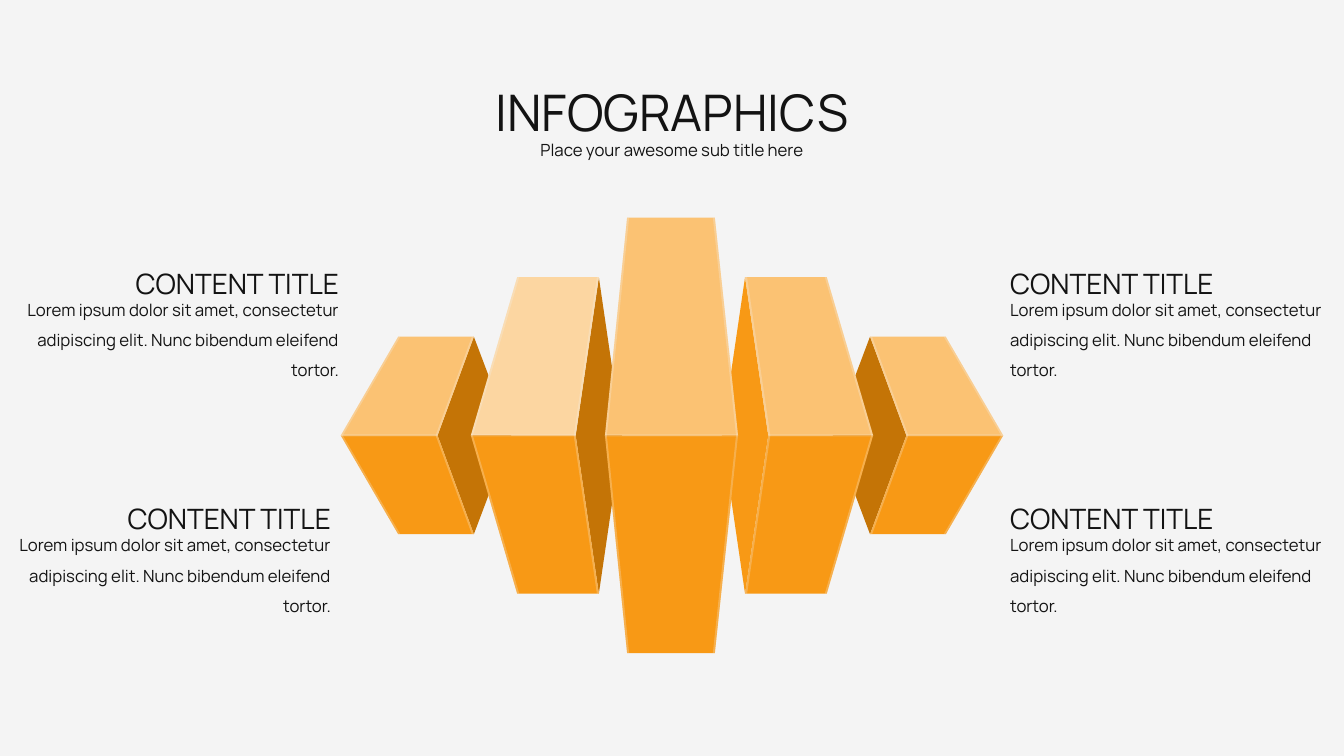
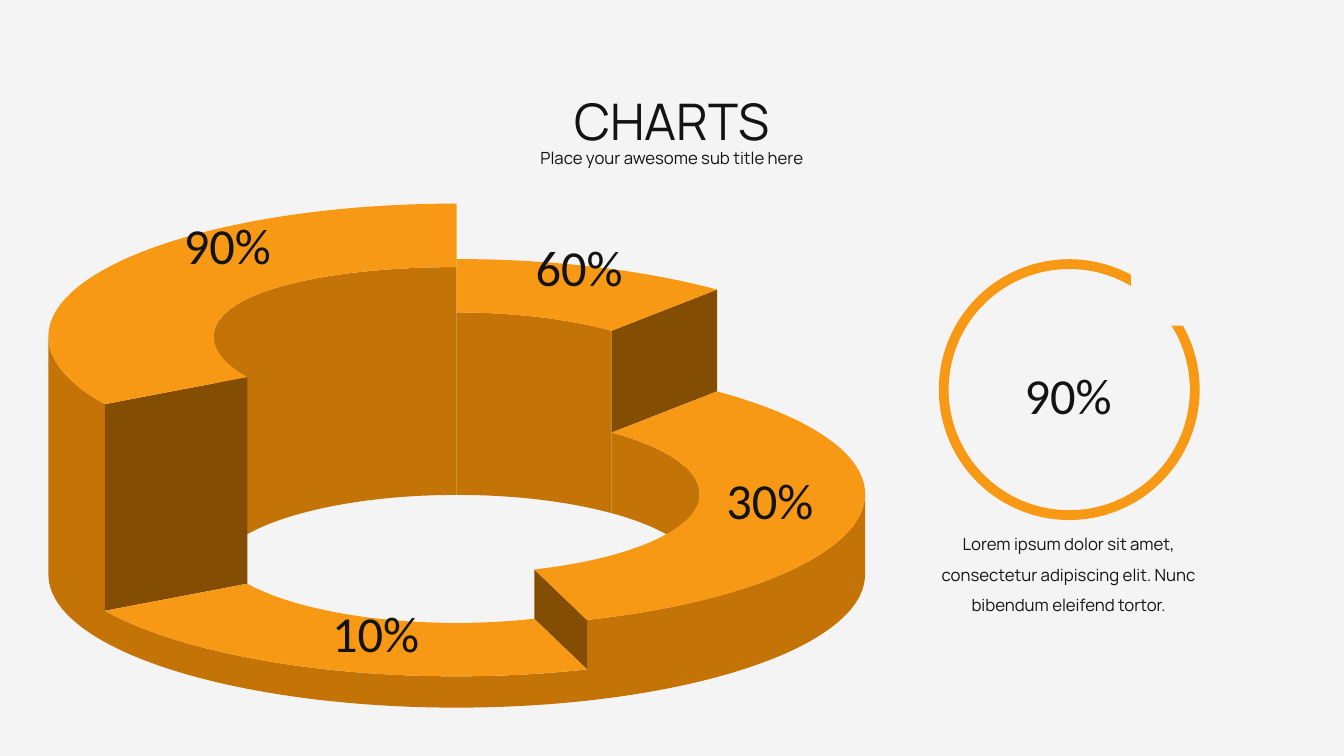
from dataclasses import dataclass
from itertools import chain, pairwise
from math import cos, radians, sin, tan

from lxml import etree
from pptx import Presentation
from pptx.dml.color import RGBColor
from pptx.enum.shapes import MSO_SHAPE as Shape
from pptx.enum.text import MSO_AUTO_SIZE as AutoSize, PP_ALIGN as Align
from pptx.oxml.ns import qn
from pptx.util import Emu, Inches, Pt

# Grid of square cells, one inch each
COLUMNS, ROWS = 13.33, 7.5
CELL = Inches(1)

# Shared look
PAPER, INK = "F4F4F4", "131313"
ORANGE, LIGHT, PALE = "F89915", "FBC273", "FCD6A1"
BROWN, DARK = "C47406", "834E04"
TEXT_FONT, NUMBER_FONT = "Manrope", "Calibri"
LOREM = ("Lorem ipsum dolor sit amet, consectetur adipiscing elit. "
         "Nunc bibendum eleifend tortor.")

Point = tuple[float, float]
# One point is a straight step; three points are a Bezier curve
Step = tuple[Point, ...]


@dataclass(frozen=True)
class Block:
    """A 3D block: x of its outer edge, top corners, inner edge and side tip."""
    outer: float
    outer_top: float
    inner_top: float
    inner: float
    tip: float | None
    half_height: float
    top_colour: str = LIGHT
    side_colour: str = BROWN
    mirrored: bool = False

    def place(self, points: list[Point]) -> list[Point]:
        return [(COLUMNS - x, y) for x, y in points] if self.mirrored else points


@dataclass(frozen=True)
class Callout:
    left: float
    title_top: float
    body_top: float
    title_align: Align
    body_align: Align


@dataclass(frozen=True)
class Rim:
    """An ellipse whose far half may be flatter than its near half."""
    radius: float
    depth: float
    far_depth: float

    def point(self, level: float, angle: float, slide: float = 0) -> Point:
        """The point at an angle, moved along the tangent by a share of the radius."""
        turn = radians(angle)
        depth = self.far_depth if sin(turn) < 0 else self.depth
        return (RING_X + self.radius * (cos(turn) - slide * sin(turn)),
                level + depth * (sin(turn) + slide * cos(turn)))

    def arc(self, level: float, start: float, end: float) -> list[Step]:
        low, high = sorted((start, end))
        stops = [low, *(q for q in range(0, 541, 90) if low < q < high), high]
        if start > end:
            stops.reverse()
        steps: list[Step] = [(self.point(level, start),)]
        for a, b in pairwise(stops):
            pull = 4 / 3 * tan(radians(b - a) / 4)
            steps.append((self.point(level, a, pull), self.point(level, b, -pull),
                          self.point(level, b)))
        return steps


@dataclass(frozen=True)
class Segment:
    """A ring part: clockwise angles from the right, and the level of its top."""
    label: str
    label_left: float
    label_top: float
    start: float
    end: float
    level: float
    inner: Rim


MIDDLE = 4.32
SMALL = (3.38, 3.95, 4.7, 4.34, 5.07, 0.98)
MEDIUM = (4.67, 5.13, 5.94, 5.71, 6.17, 1.57)
BLOCKS = [
    Block(*SMALL),
    Block(*MEDIUM, top_colour=PALE),
    Block(*SMALL, mirrored=True),
    Block(*MEDIUM, side_colour=ORANGE, mirrored=True),
    Block(6, 6.22, 7.09, 7.32, None, 2.16),
]
CALLOUTS = [
    Callout(9.92, 4.76, 5.16, Align.JUSTIFY, Align.LEFT),
    Callout(9.92, 2.43, 2.82, Align.JUSTIFY, Align.LEFT),
    Callout(0.05, 2.43, 2.82, Align.RIGHT, Align.RIGHT),
    Callout(-0.03, 4.76, 5.16, Align.RIGHT, Align.RIGHT),
]

RING_X, BASE = 4.53, 5.7
OUTER, INNER = Rim(4.05, 1.32, 1.32), Rim(2.41, 0.79, 0.79)
CUT_RIGHT, CUT_FRONT, CUT_LEFT = 309.6, 71.4, 149.5
SEGMENTS = [
    Segment("30%", 6.39, 4.3, CUT_RIGHT, 360 + CUT_FRONT, 4.9, INNER),
    Segment("60%", 4.5, 1.99, 270, CUT_RIGHT, 3.89, INNER),
    Segment("10%", 2.48, 5.62, CUT_FRONT, CUT_LEFT, 5.39, INNER),
    Segment("90%", 1.01, 1.77, CUT_LEFT, 270, 3.34, Rim(2.41, 0.79, 0.69)),
]
# Angle, upper level and lower level of each cut face
CUTS = [(CUT_RIGHT, 3.89, 4.9), (CUT_FRONT, 4.9, 5.39), (CUT_LEFT, 3.34, 5.39)]


def colour(hex_code: str) -> RGBColor:
    return RGBColor.from_string(hex_code)


def cells(count: float) -> Emu:
    return Emu(round(count * CELL))


def paint(shape, fill: str, line: str | None = None, weight: float = 0,
          alpha: int = 100) -> None:
    shape.shadow.inherit = False
    shape.fill.solid()
    shape.fill.fore_color.rgb = colour(fill)
    if alpha < 100:
        tint = shape.fill._xPr.find(qn("a:solidFill"))[0]
        etree.SubElement(tint, qn("a:alpha")).set("val", str(alpha * 1000))
    if line:
        shape.line.color.rgb = colour(line)
        shape.line.width = Pt(weight)
    else:
        shape.line.fill.background()


def add_outline(page, steps: list[Step], fill: str, alpha: int = 100) -> None:
    first, *rest = [(cells(x), cells(y)) for x, y in chain.from_iterable(steps)]
    builder = page.shapes.build_freeform(*first)
    builder.add_line_segments(rest, close=True)
    shape = builder.convert_to_shape()
    # Join the three lines of each curved step into one curve
    lines = iter(list(shape._element.iter(qn("a:lnTo"))))
    for step in steps[1:]:
        curve, *others = [next(lines) for _ in step]
        if others:
            curve.tag = qn("a:cubicBezTo")
        for other in others:
            curve.append(other[0])
            other.getparent().remove(other)
    paint(shape, fill, alpha=alpha)


def add_polygon(page, points: list[Point], fill: str, alpha: int = 100) -> None:
    add_outline(page, [(point,) for point in points], fill, alpha)


def add_preset(page, kind: Shape, left: float, top: float, width: float, height: float,
               **look) -> None:
    shape = page.shapes.add_shape(kind, *map(cells, (left, top, width, height)))
    paint(shape, **look)


def add_text(page, text: str, left: float, top: float, width: float, height: float, *,
             size: float = 12, font: str = TEXT_FONT, align: Align = Align.CENTER) -> None:
    box = page.shapes.add_textbox(*map(cells, (left, top, width, height)))
    frame = box.text_frame
    frame.word_wrap = True
    frame.auto_size = AutoSize.SHAPE_TO_FIT_TEXT
    para = frame.paragraphs[0]
    para.alignment = align
    para.line_spacing = 1.5
    span = para.add_run()
    span.text = text
    span.font.size = Pt(size)
    span.font.name = font
    span.font.color.rgb = colour(INK)


def add_number(page, text: str, left: float, top: float) -> None:
    add_text(page, text, left, top, 2.49, 1.01, size=36, font=NUMBER_FONT)


def add_page(deck, title: str, top: float):
    page = deck.slides.add_slide(deck.slide_layouts[6])
    page.background.fill.solid()
    page.background.fill.fore_color.rgb = colour(PAPER)
    add_text(page, "Place your awesome sub title here", 0.62, top + 0.78, 12.09, 0.31)
    add_text(page, title, 0.62, top, 12.09, 1.01, size=36)
    return page


def draw_block(page, block: Block) -> None:
    high, low = MIDDLE - block.half_height, MIDDLE + block.half_height
    if block.tip:
        side = [(block.inner, MIDDLE), (block.inner_top, high),
                (block.tip, MIDDLE), (block.inner_top, low)]
        add_polygon(page, block.place(side), block.side_colour)
    for end, fill in ((high, block.top_colour), (low, ORANGE)):
        face = [(block.inner, MIDDLE), (block.inner_top, end),
                (block.outer_top, end), (block.outer, MIDDLE)]
        add_polygon(page, block.place(face), fill)


def draw_highlights(page, block: Block) -> None:
    high, low = MIDDLE - block.half_height, MIDDLE + block.half_height
    strips = [[(x, MIDDLE + dy) for x, dy in ((block.inner, 0.01), (block.inner, -0.01),
                                              (block.outer, -0.01), (block.outer, 0.01))]]
    for edge, corner, shift in ((block.outer, block.outer_top, 0.02),
                                (block.inner, block.inner_top, -0.02)):
        strips.append([(edge, MIDDLE), (corner, high), (corner + shift, high),
                       (edge + shift, MIDDLE), (corner + shift, low), (corner, low)])
    for strip in strips:
        add_polygon(page, block.place(strip), PAPER, alpha=25)


def draw_walls(page, segment: Segment) -> None:
    # Near halves show the outer wall, the far half shows the inner one
    for low, high, rim, base_rim in ((0, 180, OUTER, OUTER),
                                     (180, 360, segment.inner, INNER),
                                     (360, 540, OUTER, OUTER)):
        start, end = max(segment.start, low), min(segment.end, high)
        if start < end:
            wall = rim.arc(segment.level, start, end) + base_rim.arc(BASE, end, start)
            add_outline(page, wall, BROWN)


def draw_ring(page) -> None:
    for segment in SEGMENTS:
        draw_walls(page, segment)
    for angle, high, low in CUTS:
        face = [rim.point(level, angle)
                for rim, level in ((INNER, high), (OUTER, high), (OUTER, low), (INNER, low))]
        add_polygon(page, face, DARK)
    for segment in SEGMENTS:
        top = (OUTER.arc(segment.level, segment.start, segment.end)
               + segment.inner.arc(segment.level, segment.end, segment.start))
        add_outline(page, top, ORANGE)


def build_infographics(deck) -> None:
    page = add_page(deck, "INFOGRAPHICS", 0.46)
    for draw in (draw_block, draw_highlights):
        for block in BLOCKS:
            draw(page, block)
    for note in CALLOUTS:
        add_text(page, LOREM, note.left, note.body_top, 3.41, 1.01, align=note.body_align)
        add_text(page, "CONTENT TITLE", note.left, note.title_top, 3.41, 0.61,
                 size=20, align=note.title_align)


def build_charts(deck) -> None:
    page = add_page(deck, "CHARTS", 0.54)
    draw_ring(page)
    # Open circle with its caption
    add_preset(page, Shape.OVAL, 9.36, 2.62, 2.49, 2.49, fill=PAPER, line=ORANGE, weight=7)
    add_preset(page, Shape.RECTANGLE, 11.22, 2.62, 0.63, 0.61, fill=PAPER)
    add_number(page, "90%", 9.35, 3.26)
    add_text(page, LOREM, 9.2, 5.15, 2.8, 1.01)
    # Ring labels
    for segment in SEGMENTS:
        add_number(page, segment.label, segment.label_left, segment.label_top)


def main() -> None:
    deck = Presentation()
    deck.slide_width, deck.slide_height = cells(COLUMNS), cells(ROWS)
    build_infographics(deck)
    build_charts(deck)
    deck.save("out.pptx")


if __name__ == "__main__":
    main()
